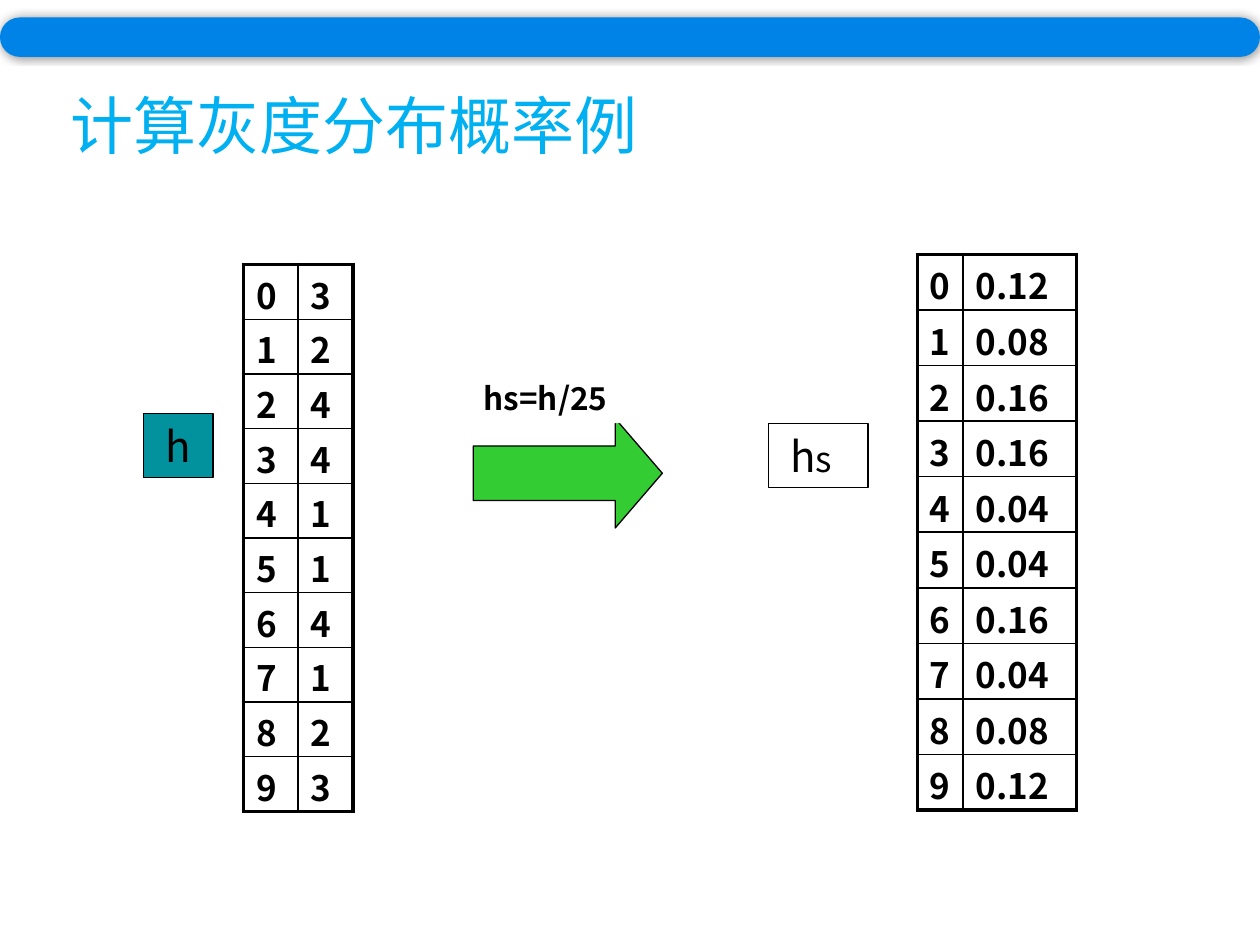
import pptx
import pptx.dml.color
import pptx.enum.shapes
import pptx.enum.text
import pptx.oxml
import pptx.oxml.ns
import pptx.util

Pt = pptx.util.Pt
RGBColor = pptx.dml.color.RGBColor
SHAPE = pptx.enum.shapes.MSO_SHAPE
ANCHOR = pptx.enum.text.MSO_ANCHOR
ALIGN = pptx.enum.text.PP_ALIGN

FONT = "Noto Sans CJK SC"
BLACK = RGBColor(0, 0, 0)
WHITE = RGBColor(255, 255, 255)
BLUE = RGBColor(0x00, 0x83, 0xE6)
SKY = RGBColor(0x00, 0xB0, 0xF0)
TEAL = RGBColor(0x01, 0x92, 0x9D)
GREEN = RGBColor(0x33, 0xCC, 0x33)

TITLE = "计算灰度分布概率例"
COUNTS = [3, 2, 4, 4, 1, 1, 4, 1, 2, 3]
TOTAL = 25
THICK, THIN = 2.25, 1
TABLES = [
    ((139.1, 151.2), (31.3, 31.3), 31.25, [str(count) for count in COUNTS]),
    ((524.2, 145.4), (26, 64.8), 31.75, [f"{count / TOTAL:.2f}" for count in COUNTS]),
]
LABELS = [
    ((82.1, 236.2, 39.6, 36.7), TEAL, True, False, [(" h", 24)]),
    ((439.2, 241.9, 56.9, 36.7), WHITE, True, False, [(" h", 24), ("s", 20)]),
    ((269.3, 213.1, 102.2, 28.8), WHITE, False, True, [(f"hs=h/{TOTAL}", 18)]),
]


def add_shape(page, kind, place, fill, outlined):
    shape = page.shapes.add_shape(kind, *map(Pt, place))
    shape.shadow.inherit = False
    shape.fill.solid()
    shape.fill.fore_color.rgb = fill
    if outlined:
        shape.line.color.rgb = BLACK
        shape.line.width = Pt(0.75)
    else:
        shape.line.fill.background()
    return shape


def add_label(page, place, fill, outlined, bold, spans):
    box = add_shape(page, SHAPE.RECTANGLE, place, fill, outlined)
    frame = box.text_frame
    frame.word_wrap = True
    frame.margin_top = frame.margin_bottom = 0
    frame.vertical_anchor = ANCHOR.MIDDLE
    para = frame.paragraphs[0]
    para.alignment = ALIGN.LEFT
    para.font.name = FONT
    para.font.bold = bold
    para.font.color.rgb = BLACK
    for text, size in spans:
        span = para.add_run()
        span.text = text
        span.font.size = Pt(size)


def set_borders(cell, widths):
    properties = cell._tc.get_or_add_tcPr()
    for side, width in zip("LRTB", widths):
        properties.append(pptx.oxml.parse_xml(
            f'<a:ln{side} {pptx.oxml.ns.nsdecls("a")} w="{int(Pt(width))}">'
            f'<a:solidFill><a:srgbClr val="{BLACK}"/></a:solidFill></a:ln{side}>'))


def add_levels(page, corner, widths, row_height, values):
    last = len(values) - 1
    frame = page.shapes.add_table(len(values), 2, *map(
        Pt, (*corner, sum(widths), row_height * len(values))))
    table = frame.table
    table.first_row = table.horz_banding = False
    for column, width in zip(table.columns, widths):
        column.width = Pt(width)
    for level, value in enumerate(values):
        table.rows[level].height = Pt(row_height)
        for side, text in enumerate((str(level), value)):
            cell = table.cell(level, side)
            edges = (side == 0, side == 1, level == 0, level == last)
            set_borders(cell, [THICK if edge else THIN for edge in edges])
            cell.fill.background()
            cell.margin_top = cell.margin_bottom = 0
            cell.vertical_anchor = ANCHOR.BOTTOM
            cell.text = text
            font = cell.text_frame.paragraphs[0].font
            font.name, font.size, font.bold = FONT, Pt(20), True
            font.color.rgb = BLACK


def add_bar(page):
    bar = add_shape(page, SHAPE.ROUNDED_RECTANGLE, (0, 10, 720, 22.5), BLUE, False)
    bar.adjustments[0] = 0.5
    effects = bar._element.spPr.find(pptx.oxml.ns.qn("a:effectLst"))
    effects.append(pptx.oxml.parse_xml(
        f'<a:outerShdw {pptx.oxml.ns.nsdecls("a")} blurRad="{int(Pt(5))}" dist="0" dir="0">'
        f'<a:srgbClr val="{BLACK}"><a:alpha val="40000"/></a:srgbClr></a:outerShdw>'))


def set_title(page):
    title = page.shapes.title
    title.left, title.top, title.width, title.height = map(Pt, (33.1, 46.1, 342, 94.3))
    frame = title.text_frame
    frame.text = TITLE
    frame.word_wrap = False
    frame.auto_size = pptx.enum.text.MSO_AUTO_SIZE.NONE
    frame.vertical_anchor = ANCHOR.TOP
    para = frame.paragraphs[0]
    para.alignment = ALIGN.LEFT
    para.font.name, para.font.size = FONT, Pt(36)
    para.font.color.rgb = SKY


def main():
    deck = pptx.Presentation()
    deck.slide_width, deck.slide_height = Pt(720), Pt(540)
    page = deck.slides.add_slide(deck.slide_layouts[5])
    add_bar(page)
    set_title(page)
    for levels in TABLES:
        add_levels(page, *levels)
    arrow = add_shape(page, SHAPE.RIGHT_ARROW, (270.5, 239.2, 108, 62.5), GREEN, True)
    arrow.adjustments[1] = 0.43
    for label in LABELS:
        add_label(page, *label)
    deck.save("out.pptx")


if __name__ == "__main__":
    main()
